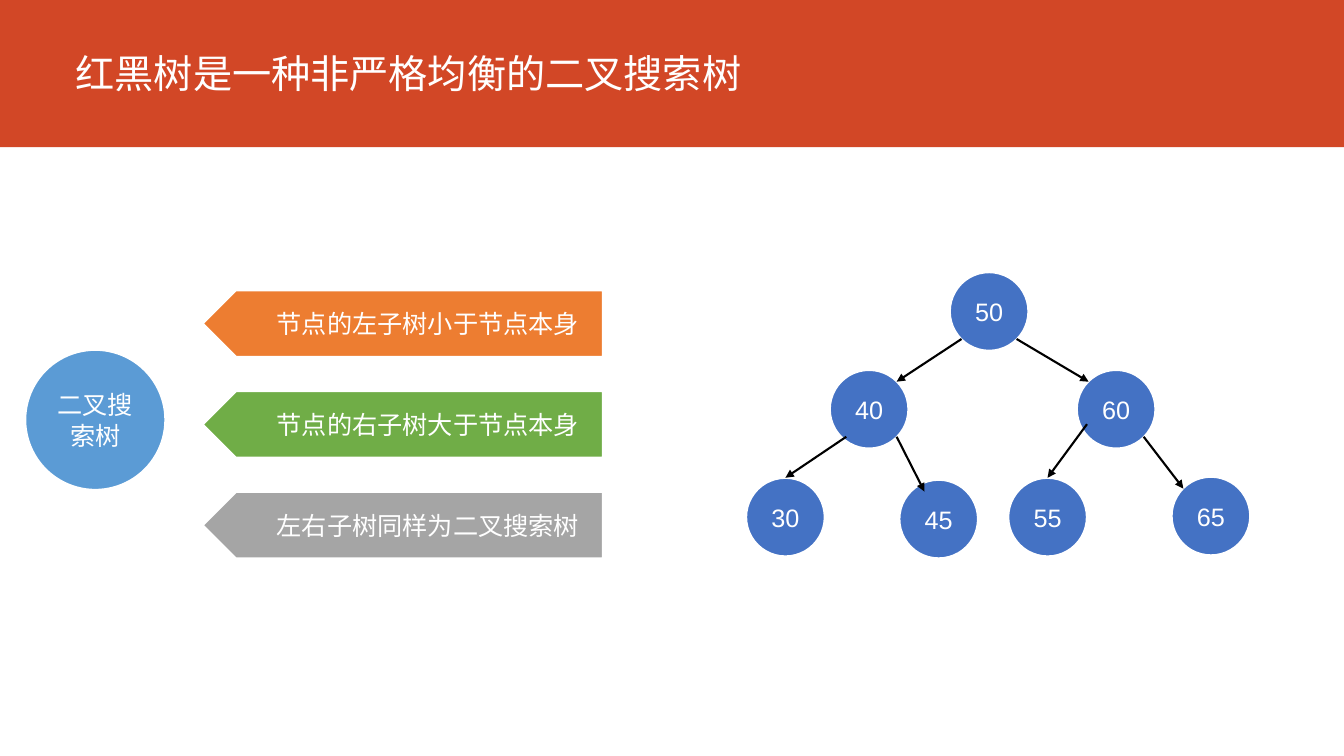
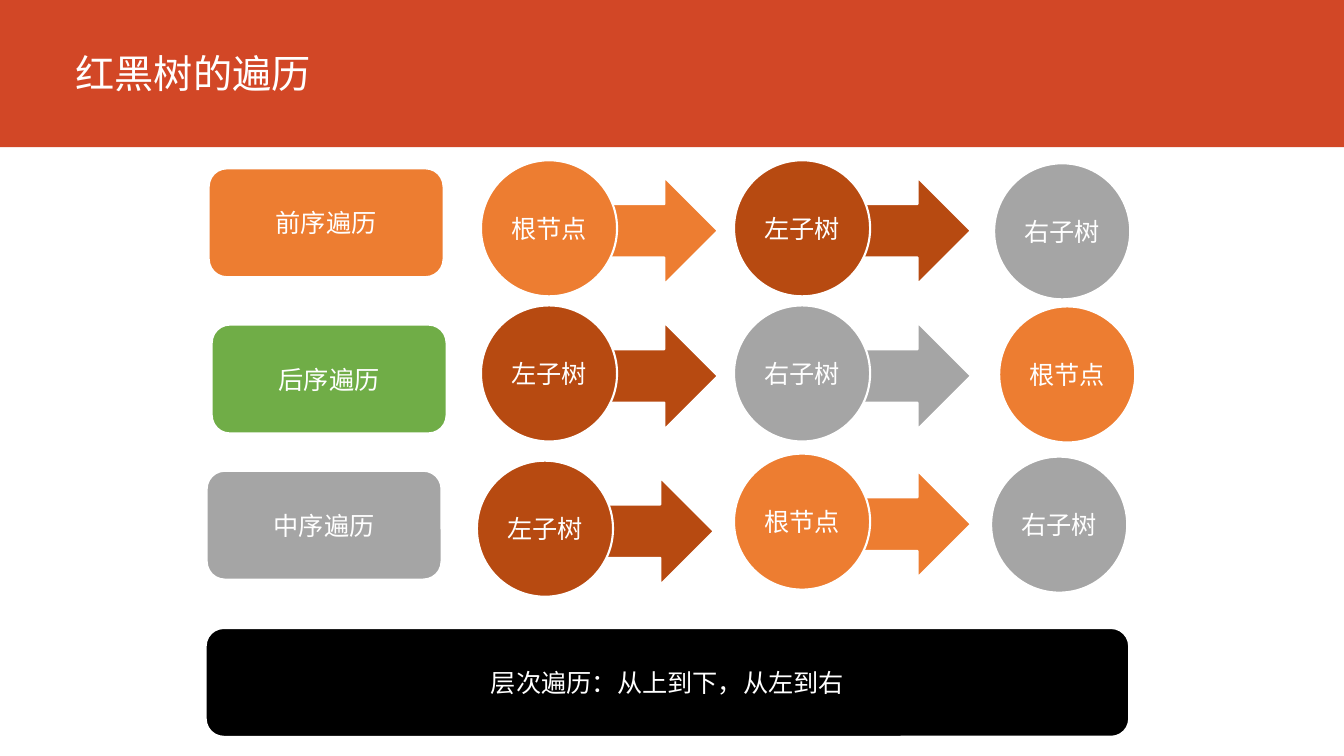
"""Build two slides on red-black trees: the search tree rules and the traversal orders."""
from lxml import etree
from pptx import Presentation
from pptx.dml.color import RGBColor
from pptx.enum import shapes, text
from pptx.oxml.ns import qn
from pptx.util import Inches, Pt

BAND_RED = RGBColor(0xD2, 0x47, 0x26)
ORANGE = RGBColor(0xED, 0x7D, 0x31)
GREEN = RGBColor(0x70, 0xAD, 0x47)
GRAY = RGBColor(0xA5, 0xA5, 0xA5)
RUST = RGBColor(0xB7, 0x4A, 0x11)
SKY = RGBColor(0x5B, 0x9B, 0xD5)
BLUE = RGBColor(0x44, 0x72, 0xC4)
BLACK = RGBColor(0, 0, 0)
WHITE = RGBColor(0xFF, 0xFF, 0xFF)

CJK_FONT = "Noto Sans CJK SC"
BODY_FONT = "Arial"
SHAPE = shapes.MSO_SHAPE

TREE_TITLE = "红黑树是一种非严格均衡的二叉搜索树"
CONCEPT = "二叉搜索树"
RULES = [
    ("节点的左子树小于节点本身", ORANGE),
    ("节点的右子树大于节点本身", GREEN),
    ("左右子树同样为二叉搜索树", GRAY),
]
NODE_SIZE = 0.78
NODES = {
    "50": (9.42, 2.7),
    "40": (8.23, 3.67),
    "60": (10.68, 3.67),
    "30": (7.4, 4.74),
    "45": (8.92, 4.76),
    "55": (10, 4.74),
    "65": (11.62, 4.73),
}
TOP, TOP_LEFT, TOP_RIGHT = (0.5, 0), (0.15, 0.15), (0.85, 0.15)
BOTTOM_LEFT, BOTTOM_RIGHT = (0.15, 0.85), (0.85, 0.85)
EDGES = [
    ("50", BOTTOM_LEFT, "40", TOP_RIGHT),
    ("50", BOTTOM_RIGHT, "60", TOP_LEFT),
    ("40", (0.21, 0.85), "30", TOP),
    ("40", BOTTOM_RIGHT, "45", (0.32, 0.15)),
    ("60", (0.13, 0.69), "55", TOP),
    ("60", BOTTOM_RIGHT, "65", TOP_LEFT),
]

TRAVERSAL_TITLE = "红黑树的遍历"
STEP_COLORS = {"根节点": ORANGE, "左子树": RUST, "右子树": GRAY}
STEP_SIZE = 1.35
TRAVERSALS = [
    ("前序遍历", ORANGE, (2.07, 1.67),
     [("根节点", 4.77, 1.59), ("左子树", 7.28, 1.59), ("右子树", 9.86, 1.62)]),
    ("后序遍历", GREEN, (2.1, 3.22),
     [("左子树", 4.77, 3.03), ("右子树", 7.28, 3.03), ("根节点", 9.91, 3.04)]),
    ("中序遍历", GRAY, (2.05, 4.67),
     [("左子树", 4.73, 4.57), ("根节点", 7.28, 4.5), ("右子树", 9.83, 4.53)]),
]
LEVEL_ORDER = "层次遍历：从上到下，从左到右"


def write(frame, content, size=18, latin=BODY_FONT, align=text.PP_ALIGN.CENTER):
    frame.text = content
    paragraph = frame.paragraphs[0]
    paragraph.alignment = align
    font = paragraph.font
    font.name, font.size = latin, Pt(size)
    font.color.rgb = WHITE
    east_asian = etree.Element(qn("a:ea"), typeface=CJK_FONT)
    paragraph._p.find(".//" + qn("a:latin")).addnext(east_asian)


def add_block(slide, kind, box, fill, content=None):
    block = slide.shapes.add_shape(kind, *map(Inches, box))
    block.shadow.inherit = False
    block.fill.solid()
    block.fill.fore_color.rgb = fill
    block.line.color.rgb = WHITE
    block.line.width = Pt(1.5)
    if content:
        frame = block.text_frame
        frame.margin_left = frame.margin_right = 0
        frame.vertical_anchor = text.MSO_ANCHOR.MIDDLE
        write(frame, content)
    return block


def add_label(slide, box, content):
    frame = slide.shapes.add_textbox(*map(Inches, box)).text_frame
    frame.word_wrap = False
    write(frame, content)


def add_arrow(slide, start, end):
    arrow = slide.shapes.add_connector(
        shapes.MSO_CONNECTOR.STRAIGHT, *map(Inches, start + end))
    arrow.line.color.rgb = BLACK
    arrow.line.width = Pt(1.5)
    etree.SubElement(arrow.line._get_or_add_ln(), qn("a:tailEnd"), type="triangle")
    etree.SubElement(arrow._element.spPr, qn("a:effectLst"))


def style_layout(layout, first_slide):
    band = add_block(first_slide, SHAPE.RECTANGLE, (0, 0, 13.33, 1.46), BAND_RED)
    band.line.fill.background()
    layout.shapes.element.insert(2, band._element)
    title = layout.placeholders[0]
    title.left, title.top = Inches(0.65), Inches(0.38)
    title.width, title.height = Inches(12), Inches(0.63)
    title.text_frame.vertical_anchor = text.MSO_ANCHOR.BOTTOM


def set_title(slide, content):
    write(slide.shapes.title.text_frame, content, 28, CJK_FONT, text.PP_ALIGN.LEFT)


def node_point(key, anchor):
    return tuple(corner + NODE_SIZE * part for corner, part in zip(NODES[key], anchor))


def build_tree(slide):
    set_title(slide, TREE_TITLE)
    for row, (rule, color) in enumerate(RULES):
        top = 2.88 + row
        plate = add_block(slide, SHAPE.PENTAGON, (2.01, top, 3.97, 0.66), color)
        plate.rotation = 180
        add_label(slide, (2.63, top + 0.13, 3.23, 0.4), rule)
    add_block(slide, SHAPE.OVAL, (0.25, 3.47, 1.39, 1.39), SKY, CONCEPT)
    for key, corner in NODES.items():
        add_block(slide, SHAPE.OVAL, (*corner, NODE_SIZE, NODE_SIZE), BLUE, key)
    for parent, leaving, child, arriving in EDGES:
        add_arrow(slide, node_point(parent, leaving), node_point(child, arriving))


def build_traversals(slide):
    set_title(slide, TRAVERSAL_TITLE)
    for name, color, corner, steps in TRAVERSALS:
        add_block(slide, SHAPE.ROUNDED_RECTANGLE, (*corner, 2.33, 1.08), color, name)
        for position, (step, left, top) in enumerate(steps, 1):
            step_color = STEP_COLORS[step]
            if position < len(steps):
                add_block(slide, SHAPE.NOTCHED_RIGHT_ARROW,
                          (left + 0.34, top + 0.17, 2.01, 1.06), step_color)
            add_block(slide, SHAPE.OVAL, (left, top, STEP_SIZE, STEP_SIZE),
                      step_color, step)
    add_block(slide, SHAPE.ROUNDED_RECTANGLE, (2.04, 6.23, 9.16, 1.08),
              BLACK, LEVEL_ORDER)


def main():
    deck = Presentation()
    deck.slide_width, deck.slide_height = Inches(13.33), Inches(7.5)
    layout = deck.slide_layouts[5]
    tree, traversals = (deck.slides.add_slide(layout) for _ in range(2))
    style_layout(layout, tree)
    build_tree(tree)
    build_traversals(traversals)
    deck.save("out.pptx")


if __name__ == "__main__":
    main()
